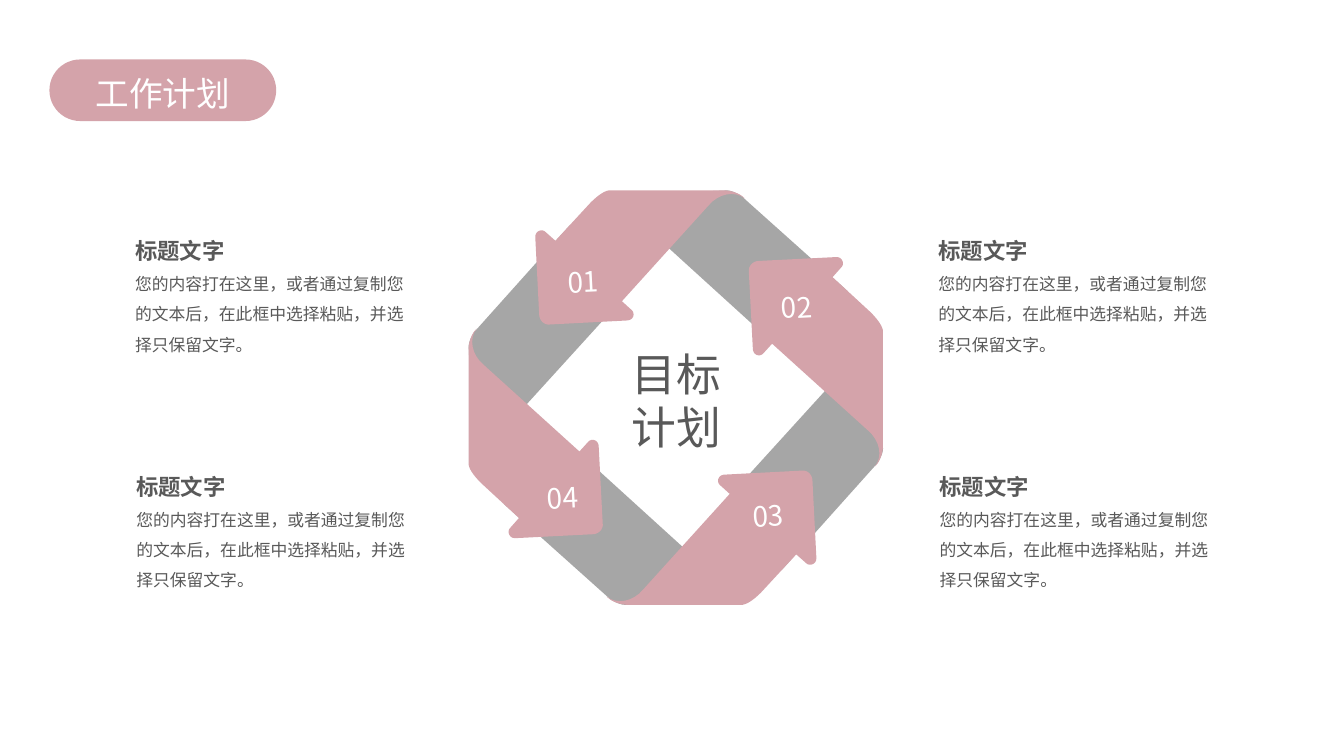
from pptx import Presentation
from pptx import util as u
from pptx.dml.color import RGBColor
from pptx.enum import shapes, text

Pt = u.Pt
PINK = RGBColor(0xD4, 0xA3, 0xAA)
GREY = RGBColor(0xA6, 0xA6, 0xA6)
DARK = RGBColor(0x59, 0x59, 0x59)
WHITE = RGBColor(0xFF, 0xFF, 0xFF)
FONT = "Noto Sans CJK SC"

HEADING = "标题文字"
BODY = "您的内容打在这里，或者通过复制您的文本后，在此框中选择粘贴，并选择只保留文字。"

# Ring outlines around the ring centre: one point is a line, three are a curve
RING_CENTRE = (482.75, 284)
BAND = [
    [(36.4, -148)], [(-46.4, -144.4)], [(80.3, -29.2)], [(122.8, -76)],
    [(46.4, -144.4)],
    [(41.4, -147.2), (38.5, -148), (36.4, -148)],
]
ARROW = [
    [(-47.9, -148)],
    [(-52.2, -147.2), (-57.2, -142.9), (-60.8, -139.3)],
    [(-86, -112)], [(-93.2, -118.4)],
    [(-95.4, -120.6), (-100.4, -119.2), (-100.4, -114.8)],
    [(-97.6, -59.4)],
    [(-97.6, -55.1), (-94, -51.5), (-89.6, -52.2)],
    [(-34.2, -55.1)],
    [(-29.9, -55.8), (-29.2, -60.1), (-31.3, -62.3)],
    [(-38.5, -68.8)], [(23.4, -137.2)],
    [(30.6, -145.8), (42.1, -148), (49.3, -142.2)],
    [(49.3, -142.2), (45, -147.2), (35.6, -148)],
]
CURVE_STEPS = 8

# Number, left and top
NUMBERS = [("01", 398.2, 183.6), ("04", 383.8, 337.7),
           ("03", 530.6, 350.6), ("02", 550.8, 201.6)]


def flatten(outline):
    """Turn lines and cubic curves into a list of points."""
    points = []
    for segment in outline:
        if len(segment) == 1:
            points += segment
            continue
        corners = [points[-1], *segment]
        for step in range(1, CURVE_STEPS + 1):
            t = step / CURVE_STEPS
            weights = ((1 - t) ** 3, 3 * t * (1 - t) ** 2,
                       3 * t ** 2 * (1 - t), t ** 3)
            points.append(tuple(
                sum(w * corner[axis] for w, corner in zip(weights, corners))
                for axis in (0, 1)))
    return points


def paint(piece, colour):
    piece.shadow.inherit = False
    piece.fill.solid()
    piece.fill.fore_color.rgb = colour
    piece.line.fill.background()


def add_ring_part(slide, outline, quarter_turns, colour):
    points = flatten(outline)
    for _ in range(quarter_turns):
        points = [(y, -x) for x, y in points]
    placed = [tuple(100 * (c + d) for c, d in zip(RING_CENTRE, point))
              for point in points]
    builder = slide.shapes.build_freeform(*placed[0], scale=Pt(1) / 100)
    builder.add_line_segments(placed[1:], close=True)
    paint(builder.convert_to_shape(), colour)


def add_words(slide, words, box, size, colour, spacing, inset=True, wrap=True,
              bold=False, align=text.PP_ALIGN.LEFT, rotation=0):
    label = slide.shapes.add_textbox(*map(Pt, box))
    label.rotation = rotation
    frame = label.text_frame
    frame_format = {"word_wrap": wrap,
                    "auto_size": text.MSO_AUTO_SIZE.SHAPE_TO_FIT_TEXT}
    if not inset:
        frame_format.update(margin_left=0, margin_top=0,
                            margin_right=0, margin_bottom=0)
    paragraph = frame.paragraphs[0]
    run = paragraph.add_run()
    run.text = words
    run.font.color.rgb = colour
    for target, values in (
        (frame, frame_format),
        (paragraph, {"alignment": align, "line_spacing": Pt(spacing)}),
        (run.font, {"name": FONT, "size": Pt(size), "bold": bold}),
    ):
        for attribute, value in values.items():
            setattr(target, attribute, value)


def add_item(slide, left, top):
    add_words(slide, HEADING, (left, top, 78.5, 19.4), 16, DARK, 20.8,
              inset=False, bold=True)
    add_words(slide, BODY, (left, top + 20.6, 192.2, 65), 12, DARK, 21.6,
              inset=False)


def add_header(slide):
    pill = slide.shapes.add_shape(shapes.MSO_SHAPE.ROUNDED_RECTANGLE,
                                  Pt(35.3), Pt(42.5), Pt(162), Pt(44))
    pill.adjustments[0] = 0.5
    paint(pill, PINK)
    add_words(slide, "工作计划", (52.6, 46.1, 127.4, 36), 24, WHITE, 31.2,
              align=text.PP_ALIGN.CENTER)


def main():
    deck = Presentation()
    deck.slide_width, deck.slide_height = Pt(960), Pt(540)
    slide = deck.slides.add_slide(deck.slide_layouts[6])

    # Ring of four folded arrows
    for outline, colour in ((BAND, GREY), (ARROW, PINK)):
        for quarter_turns in range(4):
            add_ring_part(slide, outline, quarter_turns, colour)

    # Numbers and centre
    for number, left, top in NUMBERS:
        add_words(slide, number, (left, top, 38.2, 31.7), 20, WHITE, 26,
                  wrap=False, rotation=357.1)
    add_words(slide, "目标计划", (444.2, 247.8, 78.5, 77.8), 32, DARK, 37.9,
              inset=False, align=text.PP_ALIGN.CENTER)

    # Four items, the lower row set slightly to the right
    for column in (96.5, 670.3):
        for shift, top in ((0, 167.8), (0.9, 336.2)):
            add_item(slide, column + shift, top)

    add_header(slide)
    deck.save("out.pptx")


if __name__ == "__main__":
    main()
